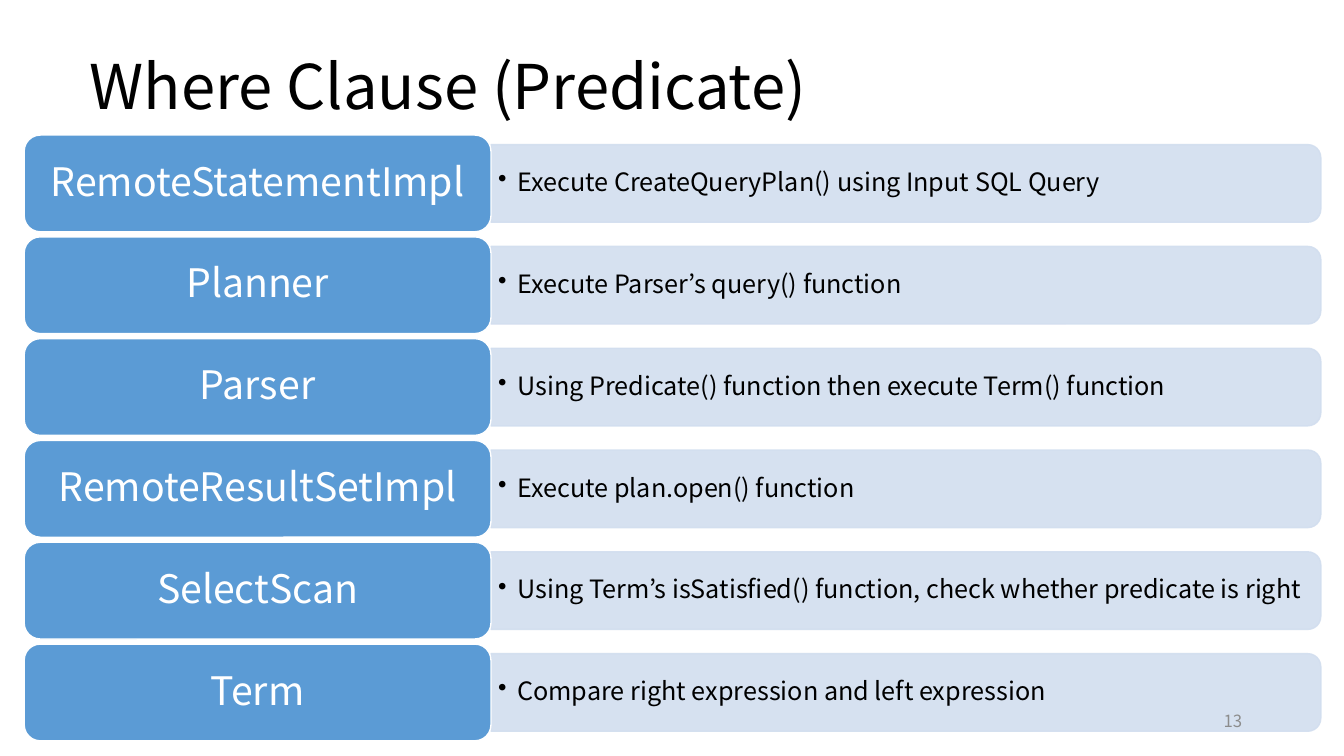
from lxml import etree
from pptx import Presentation
from pptx.dml.color import RGBColor
from pptx.enum import shapes, text
from pptx.oxml.ns import qn
from pptx.util import Inches, Pt

FONT = "Noto Sans CJK KR"
HUES = {"ink": "000000", "white": "FFFFFF", "blue": "5B9BD5",
        "pale": "D2DEEF", "grey": "8C8C8C"}
STEPS = [
    ("RemoteStatementImpl", "Execute CreateQueryPlan() using Input SQL Query"),
    ("Planner", "Execute Parser’s query() function"),
    ("Parser", "Using Predicate() function then execute Term() function"),
    ("RemoteResultSetImpl", "Execute plan.open() function"),
    ("SelectScan", "Using Term’s isSatisfied() function, "
                   "check whether predicate is right"),
    ("Term", "Compare right expression and left expression"),
]
# Row grid, in inches
TOP, PITCH, TALL = 1.34, 1.01, 0.96
LEFT, SPLIT = 0.24, 4.87
BAR_WIDE, BAR_TALL = 8.23, 0.77
NOTE_WIDE, NOTE_TALL = 8.19, 0.69


def color(name):
    return RGBColor.from_string(HUES[name])


def write(shape, words, size, hue, align="LEFT", pad=(0.1, 0.05), lines=0.9):
    frame = shape.text_frame
    frame.word_wrap = True
    frame.vertical_anchor = text.MSO_ANCHOR.MIDDLE
    frame.margin_left = frame.margin_right = Inches(pad[0])
    frame.margin_top = frame.margin_bottom = Inches(pad[1])
    para = frame.paragraphs[0]
    para.alignment = getattr(text.PP_ALIGN, align)
    para.line_spacing = lines
    run = para.add_run()
    run.text = words
    font = run.font
    font.name, font.size = FONT, Pt(size)
    font.color.rgb = color(hue)
    props = run._r.get_or_add_rPr()
    etree.SubElement(props, qn("a:ea")).set("typeface", FONT)
    return para


def add_text(slide, box, *args, **style):
    shape = slide.shapes.add_textbox(*map(Inches, box))
    return write(shape, *args, **style)


def add_box(slide, kind, box, fill, line):
    shape = slide.shapes.add_shape(kind, *map(Inches, box))
    shape.shadow.inherit = False
    shape.fill.solid()
    shape.fill.fore_color.rgb = color(fill)
    shape.line.color.rgb = color(line)
    shape.line.width = Pt(1)
    return shape


def add_bar(slide, mid):
    # Turned upright shape: its rounded top becomes the right end
    left = SPLIT + (BAR_WIDE - BAR_TALL) / 2
    bar = add_box(slide, shapes.MSO_SHAPE.ROUND_2_SAME_RECTANGLE,
                  (left, mid - BAR_WIDE / 2, BAR_TALL, BAR_WIDE),
                  "pale", "pale")
    bar.rotation = 90
    for tint in bar._element.spPr.iter(qn("a:srgbClr")):
        etree.SubElement(tint, qn("a:alpha")).set("val", "90000")


def add_note(slide, mid, words):
    para = add_text(slide, (SPLIT, mid - NOTE_TALL / 2, NOTE_WIDE, NOTE_TALL),
                    words, 18, "ink", pad=(0.07, 0.04))
    props = para._p.get_or_add_pPr()
    props.set("marL", str(Inches(0.19)))
    props.set("indent", str(Inches(-0.19)))
    etree.SubElement(props, qn("a:buChar")).set("char", "•")


def add_step(slide, row, name, words):
    top = TOP + row * PITCH
    mid = top + TALL / 2
    add_bar(slide, mid)
    add_note(slide, mid, words)
    label = add_box(slide, shapes.MSO_SHAPE.ROUNDED_RECTANGLE,
                    (LEFT, top, SPLIT - LEFT, TALL), "blue", "white")
    write(label, name, 28, "white", align="CENTER", pad=(0.12, 0.06))


def main():
    deck = Presentation()
    deck.slide_width, deck.slide_height = Inches(13.33), Inches(7.5)
    slide = deck.slides.add_slide(deck.slide_layouts[6])
    # Title
    add_text(slide, (0.79, 0.16, 11.5, 1.45),
             "Where Clause (Predicate)", 44, "ink")
    # Steps of the query
    for row, (name, words) in enumerate(STEPS):
        add_step(slide, row, name, words)
    # Page number
    add_text(slide, (9.42, 6.95, 3, 0.4), "13", 12, "grey",
             align="RIGHT", lines=1.0)
    deck.save("out.pptx")


main()
